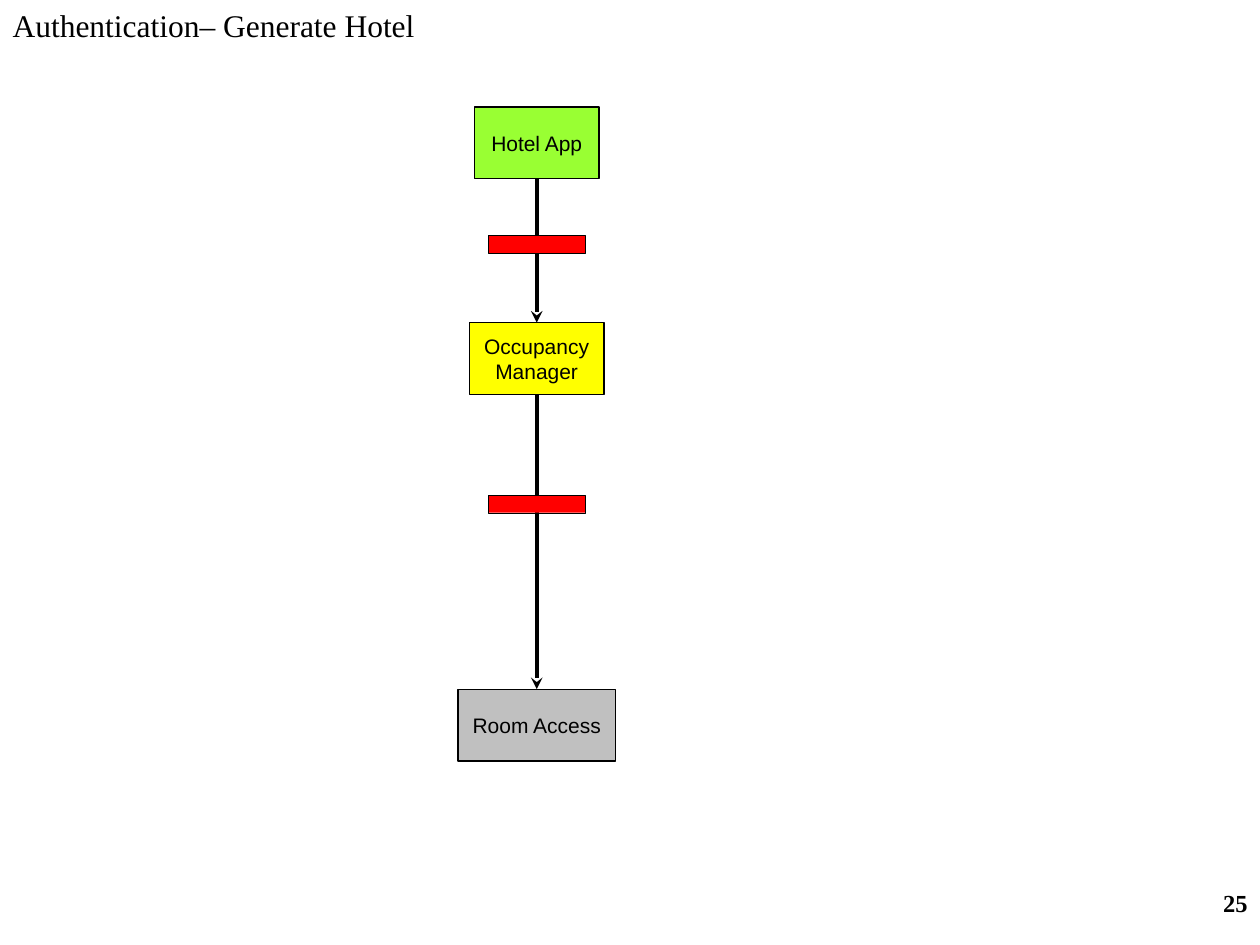
from lxml import etree
from pptx import Presentation
from pptx import util as u
from pptx.dml.color import RGBColor
from pptx.enum import shapes, text
from pptx.oxml.ns import qn

COLORS = {"ink": "000000", "app": "99FF33", "manager": "FFFF00",
          "access": "C0C0C0", "barrier": "FF0000"}
TITLE_FONT = {"name": "Times New Roman", "size": u.Pt(18), "bold": False}
NUMBER_FONT = {"name": "Times New Roman", "size": u.Pt(14), "bold": True}
NODE_FONT = {"name": "Arial", "size": u.Pt(12), "bold": False}

SLIDE_W, SLIDE_H = 10, 7.5
AXIS = 0.426 * SLIDE_W      # centre line of the flow
NODE_H = 0.57
BARRIER_W, BARRIER_H = 0.77, 0.14

# text, colour, top, width
NODES = [("Hotel App", "app", 0.85, 0.99),
         ("Occupancy\nManager", "manager", 2.56, 1.07),
         ("Room Access", "access", 5.47, 1.25)]
BARRIER_TOPS = [1.87, 3.93]


def rgb(key):
    return RGBColor.from_string(COLORS[key])


def write(frame, words, font_format, align, anchor, wrap=True):
    frame.text = words
    frame_format = {"word_wrap": wrap, "vertical_anchor": anchor,
                    "auto_size": text.MSO_AUTO_SIZE.NONE,
                    "margin_left": u.Inches(0.1), "margin_right": u.Inches(0.1),
                    "margin_top": u.Inches(0.05), "margin_bottom": u.Inches(0.05)}
    for key, value in frame_format.items():
        setattr(frame, key, value)
    for paragraph in frame.paragraphs:
        paragraph.alignment = align
        for key, value in font_format.items():
            setattr(paragraph.font, key, value)
        paragraph.font.color.rgb = rgb("ink")


def add_title(slide, left, top, width, height):
    title = slide.shapes.title
    box = {"left": left, "top": top, "width": width, "height": height}
    for key, value in box.items():
        setattr(title, key, u.Inches(value))
    write(title.text_frame, "Authentication– Generate Hotel", TITLE_FONT,
          text.PP_ALIGN.LEFT, text.MSO_ANCHOR.TOP)


def add_page_number(slide, left, top, width, height):
    number = slide.shapes.add_textbox(*map(u.Inches, (left, top, width, height)))
    write(number.text_frame, "25", NUMBER_FONT,
          text.PP_ALIGN.RIGHT, text.MSO_ANCHOR.TOP)


def add_block(slide, axis, top, width, height, color, line_width):
    """A rectangle centred on the flow axis."""
    block = slide.shapes.add_shape(
        shapes.MSO_SHAPE.RECTANGLE,
        *map(u.Inches, (axis - width / 2, top, width, height)))
    block.shadow.inherit = False
    block.fill.solid()
    block.fill.fore_color.rgb = rgb(color)
    block.line.color.rgb = rgb("ink")
    block.line.width = u.Pt(line_width)
    return block


def add_arrow(slide, upper, lower):
    arrow = slide.shapes.add_connector(shapes.MSO_CONNECTOR.STRAIGHT, 0, 0, 0, 0)
    arrow.begin_connect(upper, 2)
    arrow.end_connect(lower, 0)
    arrow.line.color.rgb = rgb("ink")
    arrow.line.width = u.Pt(2.25)
    etree.SubElement(arrow.line._get_or_add_ln(), qn("a:tailEnd"), type="stealth")
    etree.SubElement(arrow._element.spPr, qn("a:effectLst"))


def add_flow(slide, axis):
    # Components from top to bottom
    components = []
    for words, color, top, width in NODES:
        component = add_block(slide, axis, top, width, NODE_H, color, 0.75)
        write(component.text_frame, words, NODE_FONT,
              text.PP_ALIGN.CENTER, text.MSO_ANCHOR.MIDDLE, wrap=False)
        components.append(component)
    # Calls between neighbours
    for upper, lower in zip(components, components[1:]):
        add_arrow(slide, upper, lower)
    # Authentication barriers across the calls
    for top in BARRIER_TOPS:
        add_block(slide, axis, top, BARRIER_W, BARRIER_H, "barrier", 0.25)


def main():
    deck = Presentation()
    deck.slide_width, deck.slide_height = u.Inches(SLIDE_W), u.Inches(SLIDE_H)
    slide = deck.slides.add_slide(deck.slide_layouts[5])
    add_title(slide, 0, 0, 7.35, 0.4)
    add_page_number(slide, 7.92, 7, 2.08, 0.5)
    add_flow(slide, AXIS)
    deck.save("out.pptx")


if __name__ == "__main__":
    main()
